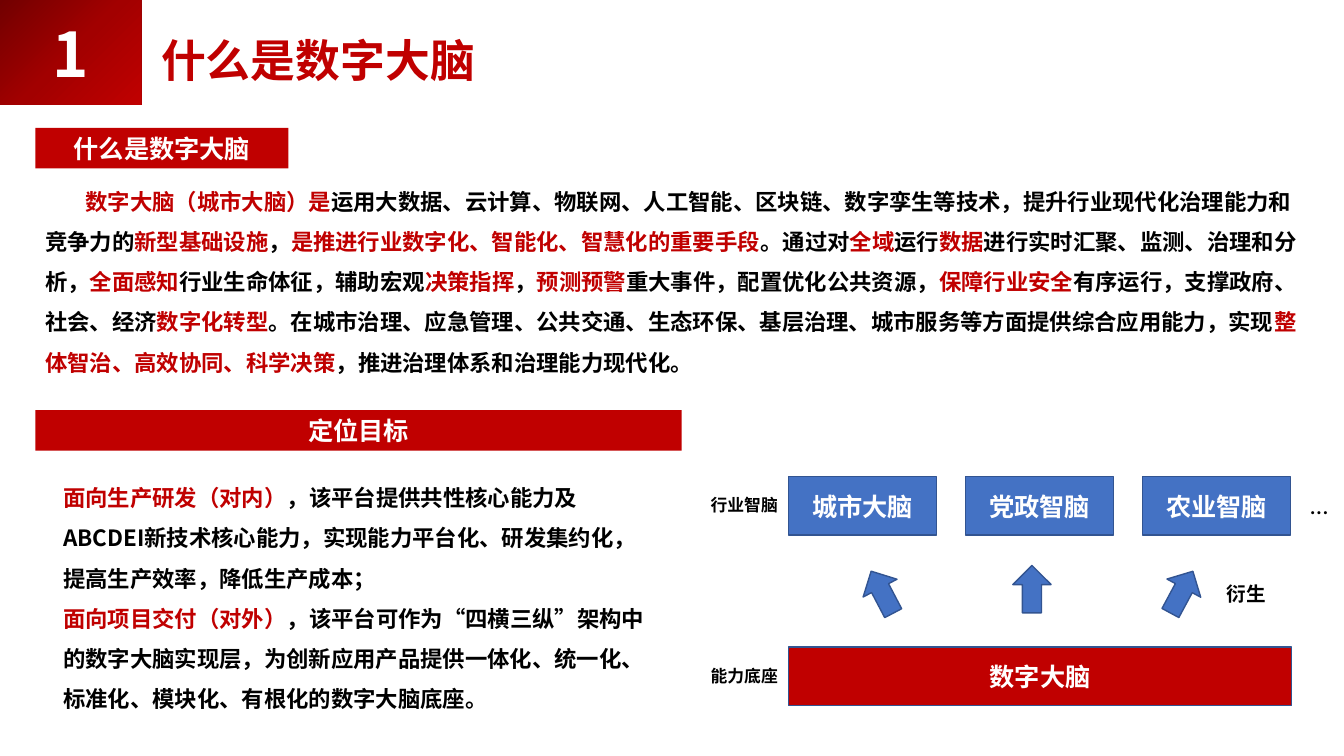
from copy import deepcopy
from pptx import Presentation
from pptx.dml.color import RGBColor
from pptx.enum.shapes import MSO_SHAPE
from pptx.enum.text import MSO_ANCHOR, PP_ALIGN
from pptx.oxml.ns import qn
from pptx.util import Inches, Pt
from lxml.etree import SubElement

RED = RGBColor(0xC0, 0x00, 0x00)
DARK = RGBColor(0x72, 0x00, 0x00)
DEEP = RGBColor(0xA2, 0x00, 0x00)
BLUE = RGBColor(0x44, 0x72, 0xC4)
EDGE = RGBColor(0x32, 0x54, 0x91)
WHITE = RGBColor(0xFF, 0xFF, 0xFF)
BLACK = RGBColor(0x00, 0x00, 0x00)
SANS = "Noto Sans CJK SC"

INTRO = (
    "*数字大脑（城市大脑）是*运用大数据、云计算、物联网、人工智能、区块链、数字孪生等技术，"
    "提升行业现代化治理能力和竞争力的*新型基础设施*，*是推进行业数字化、智能化、智慧化的重要手段*。"
    "通过对*全域*运行*数据*进行实时汇聚、监测、治理和分析，*全面感知*行业生命体征，辅助宏观*决策指挥*，"
    "*预测预警*重大事件，配置优化公共资源，*保障行业安全*有序运行，支撑政府、社会、经济*数字化转型*。"
    "在城市治理、应急管理、公共交通、生态环保、基层治理、城市服务等方面提供综合应用能力，"
    "实现*整体智治、高效协同、科学决策*，推进治理体系和治理能力现代化。"
)
GOALS = [
    "*面向生产研发（对内）*，该平台提供共性核心能力及ABCDEI新技术核心能力，"
    "实现能力平台化、研发集约化，提高生产效率，降低生产成本；",
    "*面向项目交付（对外）*，该平台可作为“四横三纵”架构中的数字大脑实现层，"
    "为创新应用产品提供一体化、统一化、标准化、模块化、有根化的数字大脑底座。",
]


def add_run(para, text, size, color, face=SANS, bold=True):
    run = para.add_run()
    run.text = text
    for key, value in {"size": Pt(size), "bold": bold, "name": face}.items():
        setattr(run.font, key, value)
    run.font.color.rgb = color
    SubElement(run.font._element, qn("a:ea"), typeface=face)


def add_box(slide, at, text, size, color=BLACK, **style):
    box = slide.shapes.add_textbox(*map(Inches, at))
    add_run(box.text_frame.paragraphs[0], text, size, color, **style)
    return box


def add_prose(slide, at, texts, indent=0):
    frame = slide.shapes.add_textbox(*map(Inches, at)).text_frame
    frame.word_wrap = True
    for row, text in enumerate(texts):
        para = frame.add_paragraph() if row else frame.paragraphs[0]
        para.line_spacing = 1.5
        para._p.get_or_add_pPr().set("indent", str(Inches(indent)))
        for num, part in enumerate(text.split("*")):
            if part:
                add_run(para, part, 16, RED if num % 2 else BLACK)


def add_block(slide, at, fill, text="", size=18, edge=None, kind=MSO_SHAPE.RECTANGLE):
    shape = slide.shapes.add_shape(kind, *map(Inches, at))
    shape.shadow.inherit = False
    shape.fill.solid()
    shape.fill.fore_color.rgb = fill
    if edge is None:
        shape.line.fill.background()
    else:
        shape.line.color.rgb = edge
        shape.line.width = Pt(1)
    if text:
        para = shape.text_frame.paragraphs[0]
        para.alignment = PP_ALIGN.CENTER
        add_run(para, text, size, WHITE)
    return shape


def add_badge(slide):
    badge = add_block(slide, (0, 0, 1.4, 1.04), RED, "1", 44)
    fill = badge.fill
    fill.gradient()
    fill.gradient_angle = 315
    stops = badge._element.spPr.find(".//" + qn("a:gsLst"))
    stops.append(deepcopy(stops[-1]))
    for stop, place, color in zip(fill.gradient_stops, (0, 0.5, 1), (DARK, DEEP, RED)):
        stop.position = place
        stop.color.rgb = color


def add_title(slide):
    title = add_box(slide, (1.5, 0.28, 4.24, 0.69), "什么是数字大脑", 32, RED)
    title.text_frame.vertical_anchor = MSO_ANCHOR.MIDDLE
    title.text_frame.paragraphs[0].line_spacing = 0.9


def add_brain(slide):
    add_block(slide, (7.82, 6.42, 4.99, 0.58), RED, "数字大脑", edge=EDGE)
    items = [("城市大脑", 332.3, 5.64), ("党政智脑", 0, 5.61), ("农业智脑", 28.3, 5.64)]
    for col, (name, turn, top) in enumerate(items):
        left = 7.82 + col * 1.755
        add_block(slide, (left, 4.73, 1.47, 0.58), BLUE, name, edge=EDGE)
        spot = (8.56 + col * 1.485, top, 0.38, 0.47)
        arrow = add_block(slide, spot, BLUE, edge=EDGE, kind=MSO_SHAPE.UP_ARROW)
        arrow.rotation = turn
    add_box(slide, (12.89, 4.81, 0.39, 0.4), "...", 18, face="Calibri", bold=False)
    add_box(slide, (12.07, 5.72, 0.59, 0.34), "衍生", 14)
    for top, name in ((4.86, "行业智脑"), (6.56, "能力底座")):
        add_box(slide, (6.95, top, 0.88, 0.3), name, 12)


def main():
    deck = Presentation()
    deck.slide_width = Inches(13.33)
    deck.slide_height = Inches(7.5)
    slide = deck.slides.add_slide(deck.slide_layouts[6])
    add_badge(slide)
    add_title(slide)
    add_block(slide, (0.35, 1.27, 2.51, 0.4), RED, "什么是数字大脑")
    add_prose(slide, (0.35, 1.68, 12.64, 2.07), [INTRO], 0.4)
    add_block(slide, (0.35, 4.07, 6.41, 0.4), RED, "定位目标")
    add_prose(slide, (0.53, 4.62, 6.05, 2.48), GOALS)
    add_brain(slide)
    deck.save("out.pptx")


if __name__ == "__main__":
    main()
